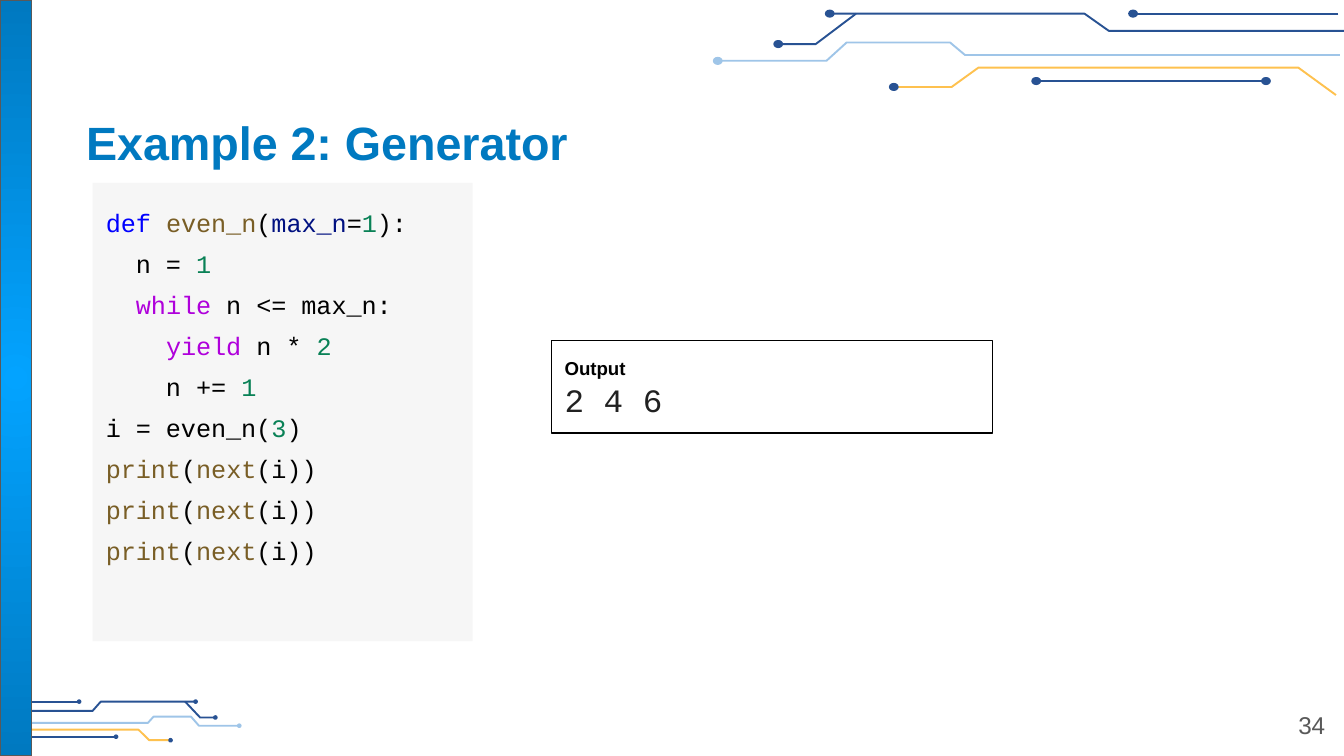
from lxml import etree
from pptx import Presentation
from pptx.dml.color import RGBColor
from pptx.enum.shapes import MSO_CONNECTOR, MSO_SHAPE
from pptx.enum.text import MSO_ANCHOR, PP_ALIGN
from pptx.oxml import parse_xml
from pptx.oxml.ns import nsdecls, qn
from pptx.util import Pt

RECTANGLE, OVAL = MSO_SHAPE.RECTANGLE, MSO_SHAPE.OVAL
STRAIGHT = MSO_CONNECTOR.STRAIGHT
TOP, MIDDLE = MSO_ANCHOR.TOP, MSO_ANCHOR.MIDDLE
LEFT, RIGHT = PP_ALIGN.LEFT, PP_ALIGN.RIGHT

NAVY = RGBColor(0x28, 0x52, 0x93)
SKY = RGBColor(0x9F, 0xC5, 0xE8)
YELLOW = RGBColor(0xFE, 0xC1, 0x4F)
BRIGHT_BLUE = RGBColor(0x03, 0xA3, 0xFF)
BLUE = RGBColor(0x00, 0x79, 0xC0)
GREY = RGBColor(0x59, 0x59, 0x59)
PANEL = RGBColor(0xF6, 0xF6, 0xF6)
BLACK = RGBColor(0, 0, 0)
OUTPUT_TEXT = RGBColor(0x21, 0x21, 0x21)
KEYWORD = RGBColor(0x00, 0x00, 0xFF)
CONTROL = RGBColor(0xAF, 0x00, 0xDB)
FUNCTION = RGBColor(0x79, 0x5E, 0x26)
PARAMETER = RGBColor(0x00, 0x10, 0x80)
NUMBER = RGBColor(0x09, 0x81, 0x56)

SANS, MONO = "Arial", "Courier New"

# Wire colour, dot colour, points, and the indexes of the points with a dot
TOP_WIRES = [
    (NAVY, NAVY, [(340, 16.5), (214, 16.5), (201, 7.3), (64.5, 7.3)], [-1]),
    (NAVY, NAVY, [(78.6, 7.3), (57, 23.6), (36.9, 23.6)], [-1]),
    (NAVY, NAVY, [(337, 7.3), (227, 7.3)], [-1]),
    (YELLOW, NAVY, [(335.7, 50.9), (315.5, 36.2), (144.2, 36.2),
                    (129.8, 46.6), (98.8, 46.6)], [-1]),
    (NAVY, NAVY, [(298.2, 43.4), (175.1, 43.4)], [0, -1]),
    (SKY, SKY, [(337.8, 29.5), (137, 29.5), (129, 22.8), (73.6, 22.8),
                (62.8, 32.6), (4.5, 32.6)], [-1]),
]
BOTTOM_WIRES = [
    (NAVY, NAVY, [(2.9, 8.9), (49.6, 8.9), (54, 3.9), (104.8, 3.9)], [-1]),
    (NAVY, NAVY, [(99.2, 3.9), (107.2, 12.4), (115.4, 12.4)], [-1]),
    (NAVY, NAVY, [(0, 3.9), (42.4, 3.9)], [-1]),
    (YELLOW, NAVY, [(0.8, 26.9), (8.6, 18.9), (74.2, 18.9), (80, 24.6),
                    (91.4, 24.6)], [-1]),
    (NAVY, NAVY, [(15, 22.7), (62.2, 22.7)], [0, -1]),
    (SKY, SKY, [(5.5, 15.3), (79.2, 15.3), (82.3, 11.9), (102.3, 11.9),
                (106.6, 16.8), (128.2, 16.8)], [-1]),
]

PRINT_NEXT = [("print", FUNCTION), ("(", BLACK), ("next", FUNCTION), ("(i))", BLACK)]
CODE = [
    [("def", KEYWORD), (" ", BLACK), ("even_n", FUNCTION), ("(", BLACK),
     ("max_n", PARAMETER), ("=", BLACK), ("1", NUMBER), ("):", BLACK)],
    [("  n = ", BLACK), ("1", NUMBER)],
    [("  ", BLACK), ("while", CONTROL), (" n <= max_n:", BLACK)],
    [("    ", BLACK), ("yield", CONTROL), (" n * ", BLACK), ("2", NUMBER)],
    [("    n += ", BLACK), ("1", NUMBER)],
    [("i = even_n(", BLACK), ("3", NUMBER), (")", BLACK)],
    *[PRINT_NEXT] * 3,
]


def add_box(page, kind, box, fill=None, line=None):
    shape = page.shapes.add_shape(kind, *map(Pt, box))
    shape.shadow.inherit = False
    if fill is None:
        shape.fill.background()
    else:
        shape.fill.solid()
        shape.fill.fore_color.rgb = fill
    if line is None:
        shape.line.fill.background()
    else:
        shape.line.color.rgb = line
        shape.line.width = Pt(0.75)
    return shape


def prepare_text(shape, anchor=TOP):
    frame = shape.text_frame
    frame.word_wrap = True
    frame.vertical_anchor = anchor
    frame.margin_left = frame.margin_right = Pt(7.2)
    frame.margin_top = frame.margin_bottom = Pt(7.2)
    return frame


def style_paragraph(para, name, size, color=None, bold=False, align=LEFT):
    para.alignment = align
    para.font.name = name
    para.font.size = Pt(size)
    para.font.bold = bold
    if color is not None:
        para.font.color.rgb = color


def add_label(page, box, text, size, color, bold=False, align=LEFT, anchor=TOP):
    frame = prepare_text(page.shapes.add_textbox(*map(Pt, box)), anchor)
    frame.text = text
    style_paragraph(frame.paragraphs[0], SANS, size, color, bold, align)


def add_wire(page, points, color):
    """Draws a straight wire as a connector and a bent one as an open outline."""
    points = [(Pt(x), Pt(y)) for x, y in points]
    if len(points) == 2:
        wire = page.shapes.add_connector(STRAIGHT, *points[0], *points[1])
        etree.SubElement(wire.element.spPr, qn("a:effectLst"))
    else:
        builder = page.shapes.build_freeform(*points[0])
        builder.add_line_segments(points[1:], close=False)
        wire = builder.convert_to_shape()
        wire.shadow.inherit = False
        wire.fill.background()
    wire.line.color.rgb = color
    wire.line.width = Pt(1.03)


def add_circuit(page, left, top, wires, dot_width, dot_height):
    for color, dot_color, points, dotted in wires:
        placed = [(left + x, top + y) for x, y in points]
        add_wire(page, placed, color)
        for x, y in (placed[index] for index in dotted):
            box = (x - dot_width / 2, y - dot_height / 2, dot_width, dot_height)
            add_box(page, OVAL, box, dot_color, dot_color)


def add_side_bar(page, box):
    bar = add_box(page, RECTANGLE, box, line=GREY)
    bar.fill.gradient()
    for stop, color in zip(bar.fill.gradient_stops, (BRIGHT_BLUE, BLUE)):
        stop.color.rgb = color
    linear = bar.element.spPr.find(".//" + qn("a:lin"))
    radial = parse_xml(
        f'<a:path {nsdecls("a")} path="circle">'
        '<a:fillToRect l="50000" t="50000" r="50000" b="50000"/></a:path>')
    linear.getparent().replace(linear, radial)


def add_code_panel(page, box, lines):
    frame = prepare_text(add_box(page, RECTANGLE, box, fill=PANEL))
    for number, line in enumerate(lines):
        para = frame.add_paragraph() if number else frame.paragraphs[0]
        style_paragraph(para, MONO, 13.5)
        para.line_spacing = 1.36
        for text, color in line:
            span = para.add_run()
            span.text = text
            span.font.color.rgb = color


def add_output_panel(page, box, heading, result):
    frame = prepare_text(add_box(page, RECTANGLE, box, line=BLACK))
    frame.text = f"{heading}\n{result}"
    first, second = frame.paragraphs
    style_paragraph(first, SANS, 10, BLACK, bold=True)
    first.line_spacing = 1.15
    first.space_before = Pt(1)
    style_paragraph(second, MONO, 17.5, OUTPUT_TEXT)


def main():
    deck = Presentation()
    deck.slide_width, deck.slide_height = Pt(720), Pt(405)
    page = deck.slides.add_slide(deck.slide_layouts[6])
    add_circuit(page, 0, 372, BOTTOM_WIRES, 1.7, 1.7)
    add_circuit(page, 380, 0, TOP_WIRES, 4.5, 3.6)
    add_side_bar(page, (0, 0, 17, 405))
    add_label(page, (39, 53.5, 671, 45), "Example 2: Generator", 25, BLUE,
              bold=True, anchor=MIDDLE)
    add_code_panel(page, (49.6, 98, 203.6, 245.5), CODE)
    add_label(page, (674, 373.5, 43, 31), "34", 13, GREY, align=RIGHT)
    add_output_panel(page, (295.4, 182.3, 236.3, 49.7), "Output", "2 4 6")
    deck.save("out.pptx")


if __name__ == "__main__":
    main()
